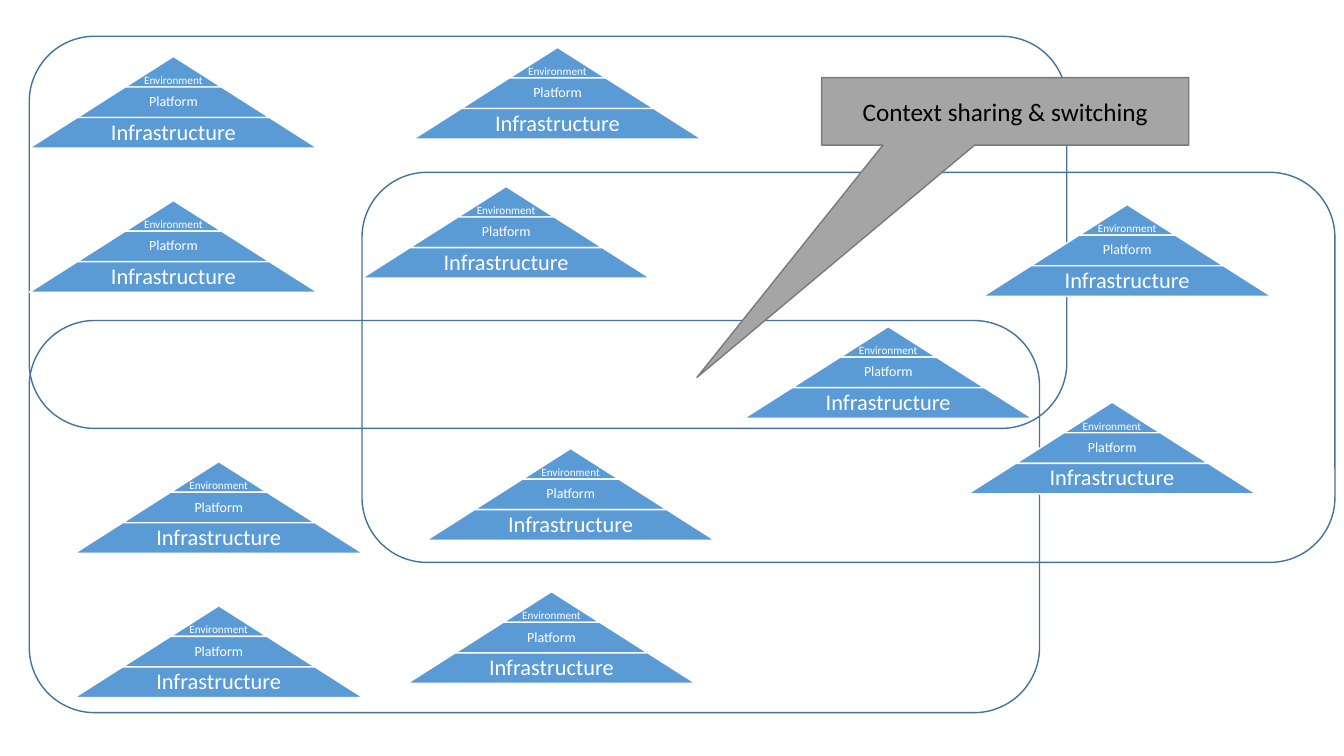
"""Build a slide of layered pyramids grouped in overlapping contexts."""
from dataclasses import dataclass

from pptx import Presentation
from pptx.dml.color import RGBColor
from pptx.enum.shapes import MSO_SHAPE
from pptx.enum.text import MSO_ANCHOR, PP_ALIGN
from pptx.util import Inches, Pt


@dataclass(frozen=True)
class Theme:
    font: str = "Calibri"
    band: RGBColor = RGBColor(0x5B, 0x9B, 0xD5)
    white: RGBColor = RGBColor(0xFF, 0xFF, 0xFF)
    black: RGBColor = RGBColor(0, 0, 0)
    context: RGBColor = RGBColor(0x43, 0x73, 0x9E)
    callout: RGBColor = RGBColor(0xA5, 0xA5, 0xA5)
    callout_line: RGBColor = RGBColor(0x7A, 0x7A, 0x7A)
    line: float = 1
    callout_size: float = 18


@dataclass(frozen=True)
class Layer:
    label: str
    size: float


@dataclass(frozen=True)
class Pyramid:
    left: float
    top: float


@dataclass(frozen=True)
class Context:
    left: float
    top: float
    width: float
    height: float


THEME = Theme()
LAYERS = [Layer("Environment", 8), Layer("Platform", 10), Layer("Infrastructure", 16)]
PYRAMID_WIDTH, PYRAMID_HEIGHT = 2.86, 0.91
ITEMS = [
    Pyramid(0.74, 4.58),
    Context(0.29, 3.18, 10.02, 3.89),
    Pyramid(0.74, 6.01),
    Pyramid(4.04, 5.87),
    Pyramid(4.23, 4.45),
    Pyramid(0.29, 0.56),
    Context(0.29, 0.36, 10.29, 3.89),
    Pyramid(0.29, 1.99),
    Pyramid(3.59, 1.85),
    Pyramid(4.10, 0.47),
    Pyramid(7.38, 3.24),
    Pyramid(9.75, 2.03),
    Pyramid(9.60, 3.99),
    Context(3.59, 1.71, 9.65, 3.87),
]


def add_box(shapes, kind: MSO_SHAPE, left: float, top: float, width: float,
            height: float, fill: RGBColor | None, line: RGBColor):
    """Add a preset shape without shadow."""
    sp = shapes.add_shape(kind, Inches(left), Inches(top), Inches(width), Inches(height))
    sp.shadow.inherit = False
    if fill is None:
        sp.fill.background()
    else:
        sp.fill.solid()
        sp.fill.fore_color.rgb = fill
    sp.line.color.rgb = line
    sp.line.width = Pt(THEME.line)
    return sp


def set_label(sp, text: str, size: float, color: RGBColor):
    """Write one centred line and return its text frame."""
    tf = sp.text_frame
    tf.text = text
    tf.vertical_anchor = MSO_ANCHOR.MIDDLE
    p = tf.paragraphs[0]
    p.alignment = PP_ALIGN.CENTER
    font = p.runs[0].font
    font.name, font.size, font.color.rgb = THEME.font, Pt(size), color
    return tf


def draw_pyramid(slide, pyramid: Pyramid) -> None:
    """Draw a pyramid as a group of equally high, widening bands."""
    group = slide.shapes.add_group_shape()
    count = len(LAYERS)
    height = PYRAMID_HEIGHT / count
    slant = PYRAMID_WIDTH / count / 2
    for i, layer in enumerate(LAYERS):
        width = PYRAMID_WIDTH * (i + 1) / count
        sp = add_box(group.shapes, MSO_SHAPE.TRAPEZOID,
                     pyramid.left + (PYRAMID_WIDTH - width) / 2,
                     pyramid.top + i * height, width, height, THEME.band, THEME.white)
        sp.adjustments[0] = slant / height
        tf = set_label(sp, layer.label, layer.size, THEME.white)
        tf.word_wrap = False
        tf.margin_left = tf.margin_right = tf.margin_top = tf.margin_bottom = 0
        tf.paragraphs[0].line_spacing = 0.9
        if i == 0:
            tf.vertical_anchor = MSO_ANCHOR.BOTTOM
        else:
            tf.margin_bottom = Inches(height / 3 / (i + 1))


def draw_context(slide, context: Context) -> None:
    """Draw the rounded outline of a context."""
    add_box(slide.shapes, MSO_SHAPE.ROUNDED_RECTANGLE, context.left, context.top,
            context.width, context.height, None, THEME.context)


def draw_callout(slide) -> None:
    """Draw the callout that points at the shared area."""
    sp = add_box(slide.shapes, MSO_SHAPE.RECTANGULAR_CALLOUT, 8.15, 0.77, 3.64, 0.67,
                 THEME.callout, THEME.callout_line)
    sp.adjustments[0], sp.adjustments[1] = -0.84, 3.94
    set_label(sp, "Context sharing & switching", THEME.callout_size, THEME.black)


def main() -> None:
    """Build and save the slide."""
    prs = Presentation()
    prs.slide_width, prs.slide_height = Inches(13.33), Inches(7.5)
    slide = prs.slides.add_slide(prs.slide_layouts[6])
    for item in ITEMS:
        if isinstance(item, Pyramid):
            draw_pyramid(slide, item)
        else:
            draw_context(slide, item)
    draw_callout(slide)
    prs.save("out.pptx")


if __name__ == "__main__":
    main()
